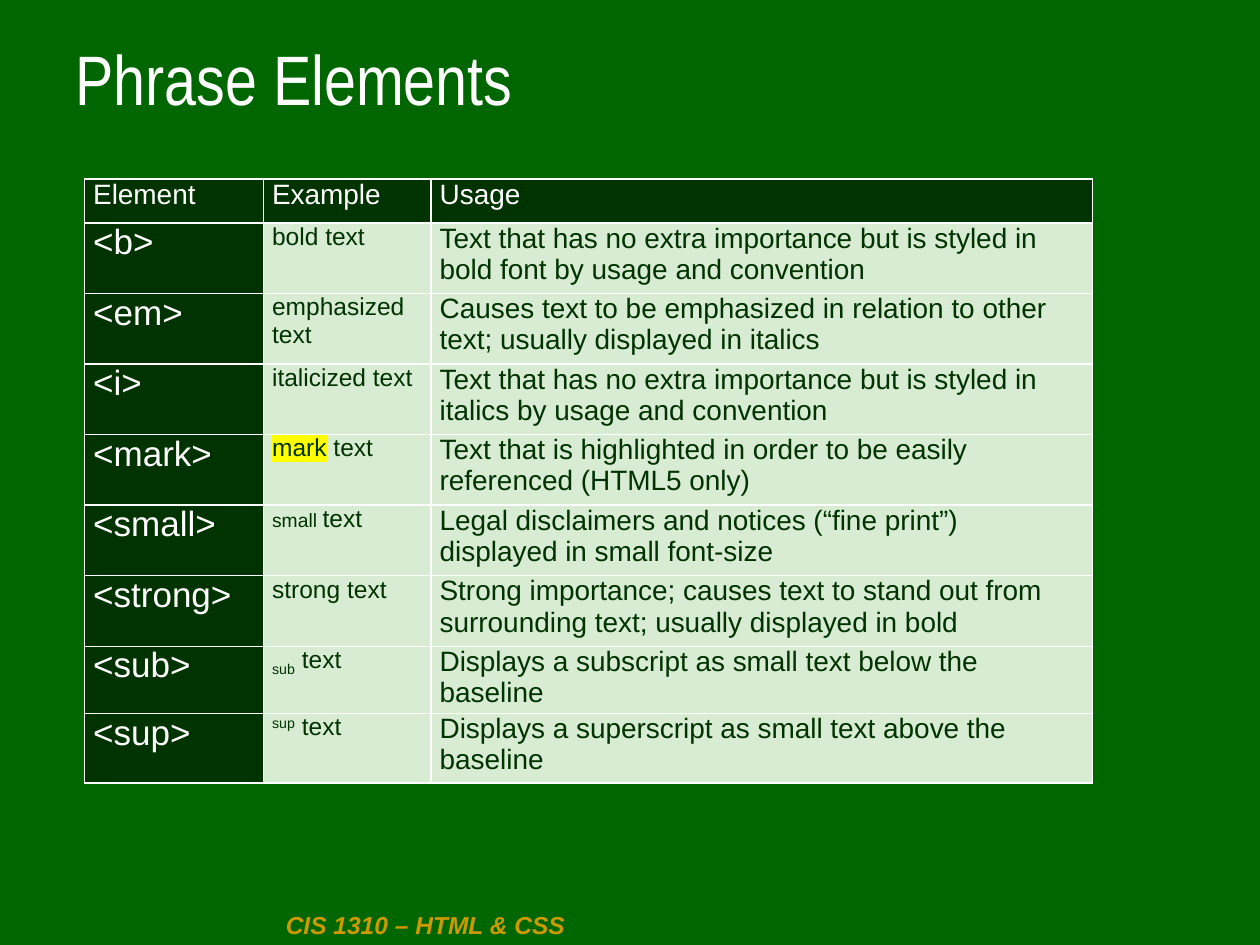
import pptx
import pptx.dml.color
import pptx.enum.text
import pptx.oxml
import pptx.oxml.ns
import pptx.util
from pptx.util import Inches

GREEN, DARK, PALE = "006600", "003300", "D8EBD3"
WHITE, GOLD, YELLOW = "FFFFFF", "CC9900", "FFFF00"
NAMESPACE = pptx.oxml.ns.nsdecls("a")

COLUMN_WIDTHS = [1.42, 1.33, 5.25]
ROW_HEIGHTS = [0.35] + [0.56] * 6 + [0.51, 0.55]
HEADINGS = ["Element", "Example", "Usage"]
# Each example is a list of (text, format) spans.
ELEMENTS = [
    ("<b>", [("bold text", {})],
     "Text that has no extra importance but is styled in bold font by usage and convention"),
    ("<em>", [("emphasized text", {})],
     "Causes text to be emphasized in relation to other text; usually displayed in italics"),
    ("<i>", [("italicized text", {})],
     "Text that has no extra importance but is styled in italics by usage and convention"),
    ("<mark>", [("mark", {"highlight": YELLOW}), (" text", {})],
     "Text that is highlighted in order to be easily referenced (HTML5 only)"),
    ("<small>", [("small ", {"size": 11}), ("text", {})],
     "Legal disclaimers and notices (“fine print”) displayed in small font-size"),
    ("<strong>", [("strong text", {})],
     "Strong importance; causes text to stand out from surrounding text; usually displayed in bold"),
    ("<sub>", [("sub", {"baseline": -25}), (" text", {})],
     "Displays a subscript as small text below the baseline"),
    ("<sup>", [("sup", {"baseline": 30}), (" text", {})],
     "Displays a superscript as small text above the baseline"),
]


def color(hex_string):
    return pptx.dml.color.RGBColor.from_string(hex_string)


class SlideBuilder:
    def __init__(self, deck):
        self.font = "Arial"
        self.page = deck.slides.add_slide(deck.slide_layouts[5])
        background = self.page.background.fill
        background.solid()
        background.fore_color.rgb = color(GREEN)

    def span(self, para, text, size, ink, font=None, highlight=None, baseline=None,
             bold=False, italic=False):
        span = para.add_run()
        span.text = text
        values = {"name": font or self.font, "size": pptx.util.Pt(size),
                  "bold": bold, "italic": italic}
        for name, value in values.items():
            setattr(span.font, name, value)
        span.font.color.rgb = color(ink)
        properties = span.font._element
        if highlight:
            properties.find(pptx.oxml.ns.qn("a:solidFill")).addnext(pptx.oxml.parse_xml(
                f'<a:highlight {NAMESPACE}><a:srgbClr val="{highlight}"/></a:highlight>'))
        if baseline:
            properties.set("baseline", str(baseline * 1000))

    def title(self, text, left, top, width, height):
        box = self.page.shapes.title
        values = {"left": left, "top": top, "width": width, "height": height}
        for name, value in values.items():
            setattr(box, name, Inches(value))
        frame = box.text_frame
        frame.vertical_anchor = pptx.enum.text.MSO_ANCHOR.BOTTOM
        frame.auto_size = pptx.enum.text.MSO_AUTO_SIZE.NONE
        para = frame.paragraphs[0]
        para.alignment = pptx.enum.text.PP_ALIGN.LEFT
        para.line_spacing = 0.85
        self.span(para, text, 40, WHITE, font="Arial Narrow")

    def footer(self, text, left, top, width, height):
        box = self.page.shapes.add_textbox(*map(Inches, (left, top, width, height)))
        box.text_frame.word_wrap = True
        self.span(box.text_frame.paragraphs[0], text, 14, GOLD, bold=True, italic=True)

    def cell(self, cell, spans, size, ink, fill):
        values = {"margin_left": 0.07, "margin_right": 0.07,
                  "margin_top": 0, "margin_bottom": 0}
        for name, value in values.items():
            setattr(cell, name, Inches(value))
        cell.fill.solid()
        cell.fill.fore_color.rgb = color(fill)
        for text, extra in spans:
            self.span(cell.text_frame.paragraphs[0], text,
                      **{"size": size, "ink": ink, **extra})
        properties = cell._tc.get_or_add_tcPr()
        for index, side in enumerate("LRTB"):
            properties.insert(index, pptx.oxml.parse_xml(
                f'<a:ln{side} {NAMESPACE} w="12700"><a:solidFill>'
                f'<a:srgbClr val="{WHITE}"/></a:solidFill></a:ln{side}>'))

    def table(self, left, top):
        frame = self.page.shapes.add_table(
            len(ROW_HEIGHTS), len(COLUMN_WIDTHS), Inches(left), Inches(top),
            Inches(sum(COLUMN_WIDTHS)), Inches(sum(ROW_HEIGHTS)))
        table = frame.table
        table.first_row = table.horz_banding = False
        for column, width in zip(table.columns, COLUMN_WIDTHS):
            column.width = Inches(width)
        for row, height in zip(table.rows, ROW_HEIGHTS):
            row.height = Inches(height)
        for column, heading in enumerate(HEADINGS):
            self.cell(table.cell(0, column), [(heading, {})], 16, WHITE, DARK)
        for row, (element, example, usage) in enumerate(ELEMENTS, 1):
            self.cell(table.cell(row, 0), [(element, {})], 20, WHITE, DARK)
            self.cell(table.cell(row, 1), example, 14, DARK, PALE)
            self.cell(table.cell(row, 2), [(usage, {})], 16, DARK, PALE)


def main():
    deck = pptx.Presentation()
    deck.slide_width, deck.slide_height = Inches(10), Inches(7.5)
    builder = SlideBuilder(deck)
    builder.footer("CIS 1310 – HTML & CSS", 2.17, 7.17, 4.67, 0.33)
    builder.title("Phrase Elements", 0.5, 0.25, 8.5, 0.75)
    builder.table(0.67, 1.42)
    deck.save("out.pptx")


if __name__ == "__main__":
    main()
